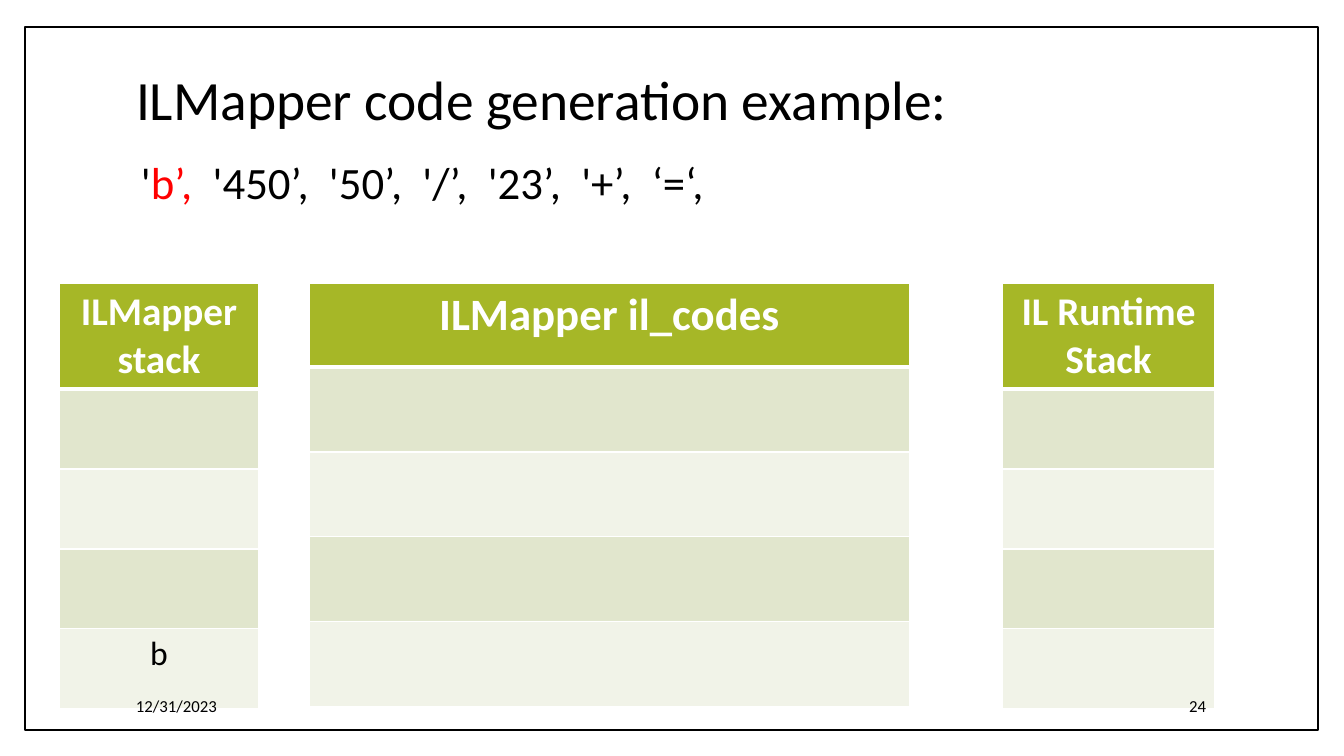
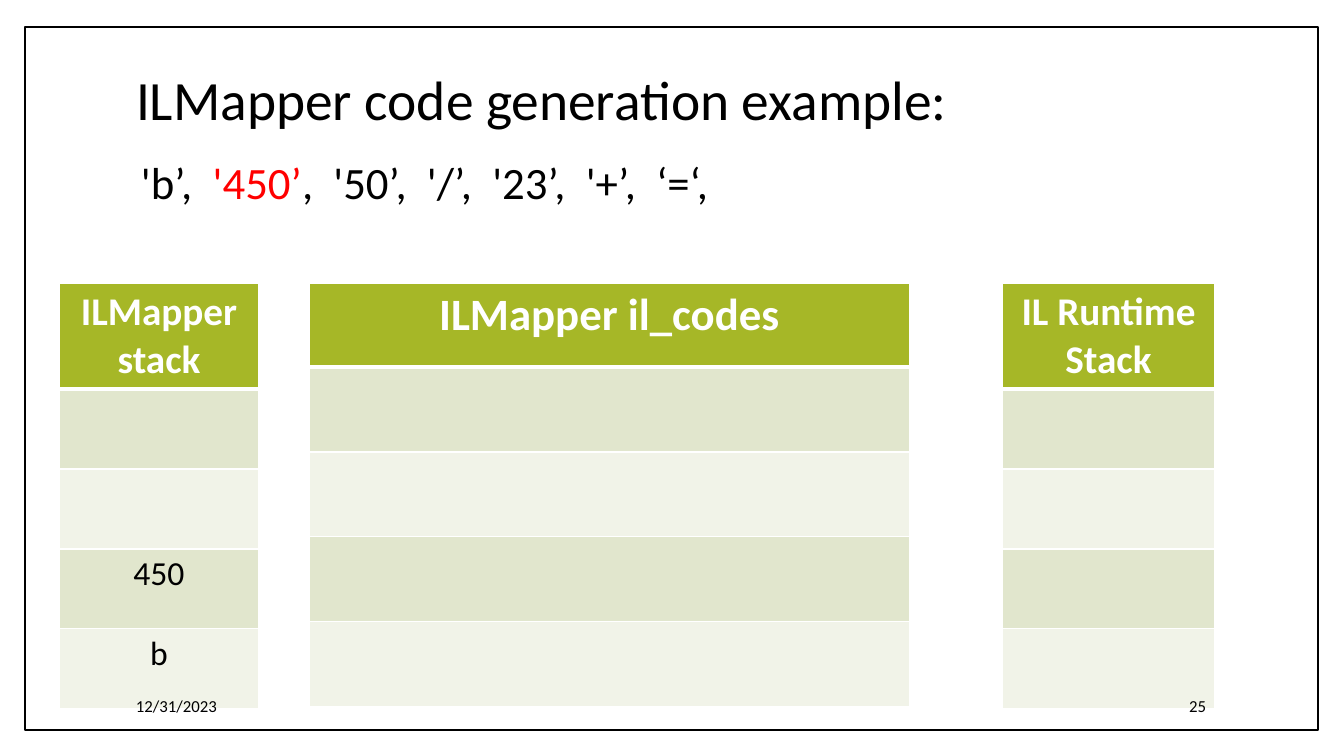
from lxml.etree import SubElement
from pptx import Presentation
from pptx.dml.color import RGBColor
from pptx.enum.shapes import MSO_SHAPE as Preset
from pptx.enum.text import MSO_ANCHOR as Anchor, MSO_AUTO_SIZE as AutoSize, PP_ALIGN as Align
from pptx.oxml.ns import qn
from pptx.util import Pt

EMU_PER_PX = 914400 / 100.8
BLACK = RGBColor(0x00, 0x00, 0x00)
WHITE = RGBColor(0xFF, 0xFF, 0xFF)
RED = RGBColor(0xFF, 0x00, 0x00)
GREEN = RGBColor(0xA6, 0xB7, 0x27)
BANDS = (RGBColor(0xE1, 0xE6, 0xCD), RGBColor(0xF1, 0xF3, 0xE8))
FONT = "Calibri"
TITLE = "ILMapper code generation example:"
DATE = "12/31/2023"
BODY_ROWS = 4


def px(length):
    return round(length * EMU_PER_PX)


class Deck:
    def __init__(self):
        self.presentation = Presentation()
        self.presentation.slide_width = px(1344)
        self.presentation.slide_height = px(756)
        self.slide = None

    def style(self, run, size, color=BLACK, bold=False):
        run.font.name = FONT
        run.font.size = Pt(size)
        run.font.color.rgb = color
        run.font.bold = bold

    def add_slide(self):
        layout = self.presentation.slide_layouts.get_by_name("Title Only")
        self.slide = self.presentation.slides.add_slide(layout)
        if len(self.presentation.slides) == 1:
            self.add_master_frame()
        self.add_title()

    def add_master_frame(self):
        frame = self.slide.shapes.add_shape(Preset.RECTANGLE, px(25), px(27), px(1293), px(703))
        frame.shadow.inherit = False
        frame.fill.solid()
        frame.fill.fore_color.rgb = WHITE
        frame.line.color.rgb = BLACK
        frame.line.width = Pt(1)
        frame.element.nvSpPr.cNvPr.set("id", "100")
        self.presentation.slide_master.shapes.element.insert(2, frame.element)

    def add_title(self):
        title = self.slide.shapes.title
        title.left, title.top, title.width, title.height = px(126), px(67), px(1089), px(71)
        text_frame = title.text_frame
        text_frame.text = TITLE
        text_frame.auto_size = AutoSize.NONE
        text_frame.vertical_anchor = Anchor.MIDDLE
        paragraph = text_frame.paragraphs[0]
        paragraph.alignment = Align.LEFT
        paragraph.line_spacing = 0.9
        self.style(paragraph.runs[0], 39.6)

    def add_text(self, left, top, width, height, parts, size, align=Align.LEFT, anchor=Anchor.TOP):
        box = self.slide.shapes.add_textbox(px(left), px(top), px(width), px(height))
        box.text_frame.word_wrap = True
        box.text_frame.vertical_anchor = anchor
        paragraph = box.text_frame.paragraphs[0]
        paragraph.alignment = align
        for text, color in parts:
            run = paragraph.add_run()
            run.text = text
            self.style(run, size, color)
        return paragraph

    def add_tokens(self, parts):
        paragraph = self.add_text(126, 156, 805, 115, parts, 32)
        paragraph.line_spacing = 0.9
        paragraph.space_before = Pt(14)
        paragraph._p.get_or_add_pPr().set("marL", str(px(5)))

    def add_footer(self, number):
        self.add_text(126, 686, 257, 40, [(DATE, BLACK)], 12, anchor=Anchor.MIDDLE)
        self.add_text(1028, 686, 188, 40, [(str(number), BLACK)], 12, Align.RIGHT, Anchor.MIDDLE)

    def add_stack(self, left, width, height, header_height, header, header_size, values=()):
        frame = self.slide.shapes.add_table(
            BODY_ROWS + 1, 1, px(left), px(283), px(width), px(height))
        table = frame.table
        table.rows[0].height = px(header_height)
        self.fill_cell(table.cell(0, 0), header, GREEN, header_size, WHITE, True, 3)
        cells = [""] * (BODY_ROWS - len(values)) + list(values)
        for index, text in enumerate(cells):
            table.rows[index + 1].height = px((height - header_height) / BODY_ROWS)
            self.fill_cell(table.cell(index + 1, 0), text, BANDS[index % 2], 24,
                           top_width=1 if index else 3)

    def fill_cell(self, cell, text, fill, size, color=BLACK, bold=False, bottom_width=1, top_width=1):
        cell.text_frame.text = text
        for paragraph in cell.text_frame.paragraphs:
            paragraph.alignment = Align.CENTER
            for run in paragraph.runs:
                self.style(run, size, color, bold)
        cell.fill.solid()
        cell.fill.fore_color.rgb = fill
        properties = cell._tc.get_or_add_tcPr()
        widths = {"a:lnL": 1, "a:lnR": 1, "a:lnT": top_width, "a:lnB": bottom_width}
        for index, (side, width) in enumerate(widths.items()):
            border = SubElement(properties, qn(side), w=str(Pt(width)))
            solid = SubElement(border, qn("a:solidFill"))
            SubElement(solid, qn("a:srgbClr"), val=str(WHITE))
            properties.insert(index, border)


def main():
    deck = Deck()
    steps = [
        (24, [("'", BLACK), ("b’,  ", RED), ("'450’,  '50’,  '/’,  '23’,  '+’,  ‘=‘,", BLACK)],
         ["b"]),
        (25, [("'b’,  ", BLACK), ("'450’", RED), (",  '50’,  '/’,  '23’,  '+’,  ‘=‘,", BLACK)],
         ["450", "b"]),
    ]
    for number, tokens, mapper_stack in steps:
        deck.add_slide()
        deck.add_tokens(tokens)
        deck.add_stack(59, 200, 426, 106, "ILMapper\nstack", 28, mapper_stack)
        deck.add_stack(1002, 213, 426, 106, "IL Runtime Stack", 28)
        deck.add_stack(309, 601, 424, 84, "ILMapper il_codes", 32)
        deck.add_footer(number)
    deck.presentation.save("out.pptx")


if __name__ == "__main__":
    main()
